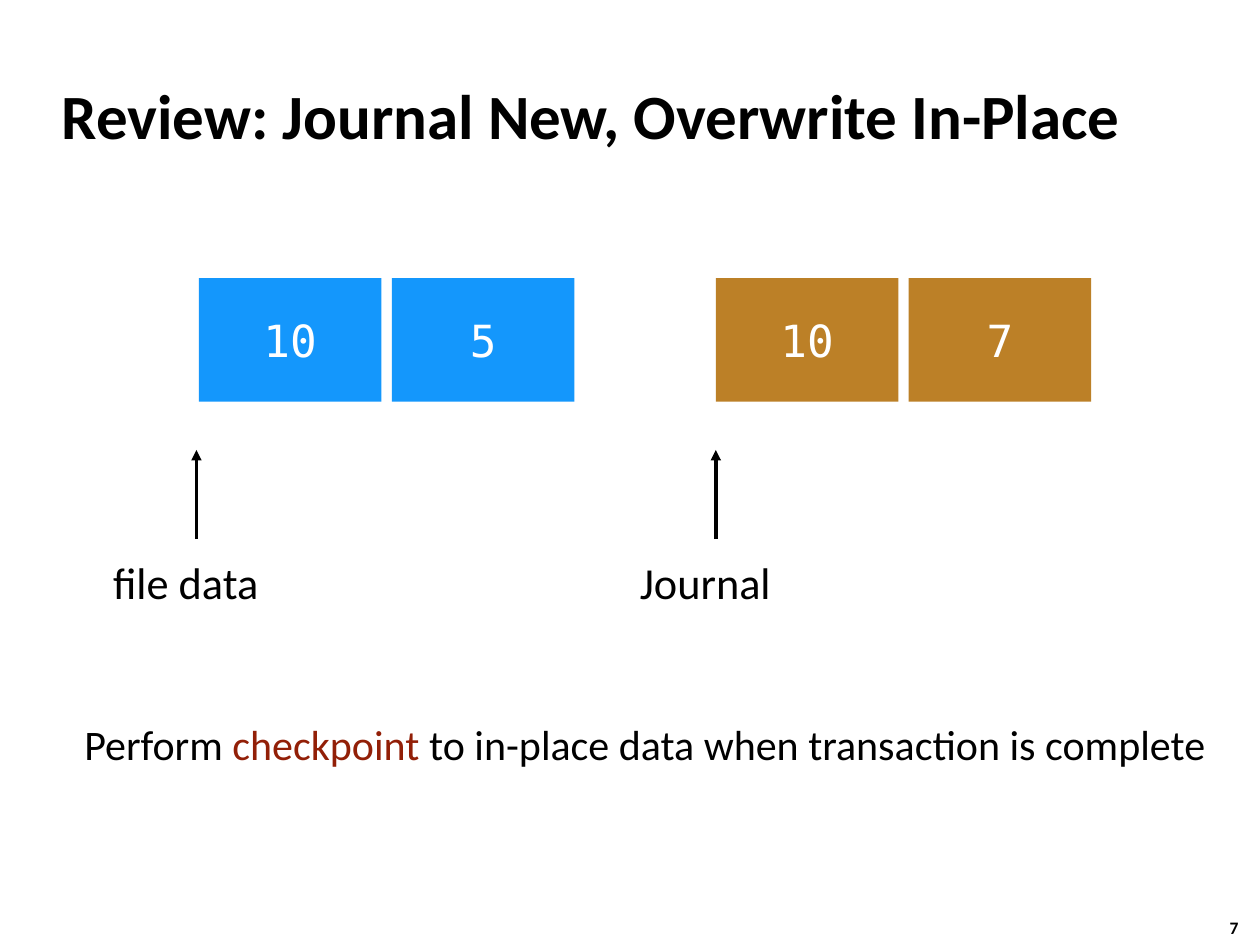
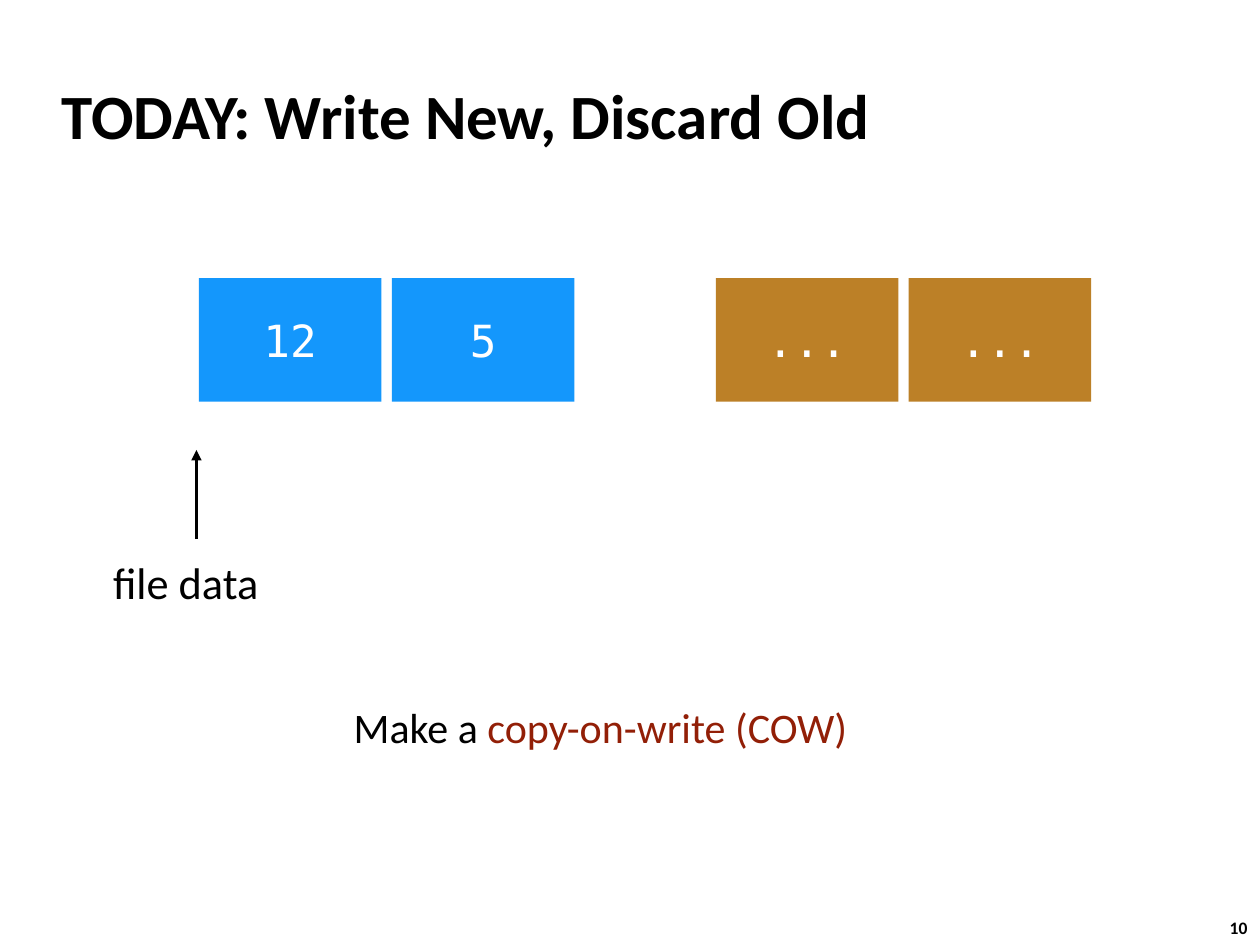
from dataclasses import dataclass

from lxml import etree
from pptx import Presentation
from pptx import util as u
from pptx.dml.color import RGBColor
from pptx.enum import shapes, text
from pptx.oxml.ns import qn
from pptx.slide import Slide
from pptx.text.text import TextFrame

BLACK = RGBColor(0x00, 0x00, 0x00)
WHITE = RGBColor(0xFF, 0xFF, 0xFF)
FILE_BLUE = RGBColor(0x14, 0x97, 0xFC)
JOURNAL_BROWN = RGBColor(0xBC, 0x80, 0x27)
TERM_RED = RGBColor(0x92, 0x1F, 0x07)
BODY_FONT = "Calibri"
CODE_FONT = "DejaVu Sans Mono"
DIAGRAM_SIZE = 25.3

BLOCK_TOP, BLOCK_WIDTH, BLOCK_HEIGHT = u.Cm(5.61), u.Cm(3.68), u.Cm(2.49)
BLOCK_PITCH = u.Cm(3.89)
ARROW_TAIL, ARROW_TIP = u.Cm(10.87), u.Cm(9.07)
LABEL_TOP, LINE_HEIGHT = u.Cm(11.1), u.Cm(1.27)


@dataclass(frozen=True)
class Box:
    left: int
    top: int
    width: int
    height: int


@dataclass(frozen=True)
class Region:
    left: int
    color: RGBColor


@dataclass(frozen=True)
class Pointer:
    caption: str
    arrow_x: int
    left: int
    width: int


@dataclass(frozen=True)
class Page:
    number: int
    title: str
    title_width: int
    file_values: tuple[str, ...]
    journal_values: tuple[str, ...]
    pointers: tuple[Pointer, ...]
    note: tuple[tuple[str, RGBColor], ...]
    note_box: Box


FILE_REGION = Region(u.Cm(4.01), FILE_BLUE)
JOURNAL_REGION = Region(u.Cm(14.43), JOURNAL_BROWN)
FILE_POINTER = Pointer("file data", u.Cm(3.96), u.Cm(2.18), u.Cm(3.15))
JOURNAL_POINTER = Pointer("Journal", JOURNAL_REGION.left, u.Cm(12.8), u.Cm(2.87))
NUMBER_BOX = Box(u.Cm(24.54), u.Cm(18.36), u.Cm(0.94), u.Cm(0.69))

PAGES = (
    Page(
        7, "Review: Journal New, Overwrite In-Place", u.Cm(23.32),
        ("10", "5"), ("10", "7"), (FILE_POINTER, JOURNAL_POINTER),
        (
            ("Perform ", BLACK),
            ("checkpoint", TERM_RED),
            (" to in-place data when transaction is complete", BLACK),
        ),
        Box(u.Cm(1.45), u.Cm(14.35), u.Cm(23.32), LINE_HEIGHT),
    ),
    Page(
        10, "TODAY: Write New, Discard Old", u.Cm(21.08),
        ("12", "5"), ("...", "..."), (FILE_POINTER,),
        (("Make a ", BLACK), ("copy-on-write (COW)", TERM_RED)),
        Box(u.Cm(6.88), u.Cm(14.02), u.Cm(10.57), LINE_HEIGHT),
    ),
)


def write(
    frame: TextFrame,
    *runs: tuple[str, RGBColor],
    size: float,
    font: str = BODY_FONT,
    bold: bool = False,
    align: text.PP_ALIGN = text.PP_ALIGN.LEFT,
    anchor: text.MSO_ANCHOR = text.MSO_ANCHOR.MIDDLE,
    inset: int | None = None,
    wrap: bool = True,
    grow: bool = False,
) -> None:
    frame.word_wrap = wrap
    frame.vertical_anchor = anchor
    frame.auto_size = (
        text.MSO_AUTO_SIZE.SHAPE_TO_FIT_TEXT if grow else text.MSO_AUTO_SIZE.NONE
    )
    if inset is not None:
        frame.margin_left = frame.margin_right = inset
        frame.margin_top = frame.margin_bottom = inset
    paragraph = frame.paragraphs[0]
    paragraph.alignment = align
    for words, color in runs:
        run = paragraph.add_run()
        run.text = words
        run.font.size = u.Pt(size)
        run.font.name = font
        run.font.bold = bold
        run.font.color.rgb = color


def add_line_of_text(
    slide: Slide, box: Box, *runs: tuple[str, RGBColor], **style
) -> None:
    holder = slide.shapes.add_textbox(box.left, box.top, box.width, box.height)
    write(holder.text_frame, *runs, wrap=False, grow=True, **style)


def add_title(slide: Slide, title: str, width: int) -> None:
    heading = slide.shapes.title
    heading.left, heading.top = u.Cm(0.99), u.Cm(1.24)
    heading.width, heading.height = width, u.Cm(2.11)
    write(heading.text_frame, (title, BLACK), size=36, bold=True)


def add_blocks(slide: Slide, region: Region, values: tuple[str, ...]) -> None:
    for index, value in enumerate(values):
        block = slide.shapes.add_shape(
            shapes.MSO_SHAPE.RECTANGLE,
            region.left + index * BLOCK_PITCH, BLOCK_TOP, BLOCK_WIDTH, BLOCK_HEIGHT,
        )
        block.shadow.inherit = False
        block.fill.solid()
        block.fill.fore_color.rgb = region.color
        block.line.fill.background()
        write(
            block.text_frame, (value, WHITE), size=DIAGRAM_SIZE, font=CODE_FONT,
            align=text.PP_ALIGN.CENTER, inset=0,
        )


def add_pointer(slide: Slide, pointer: Pointer) -> None:
    caption_box = Box(pointer.left, LABEL_TOP, pointer.width, LINE_HEIGHT)
    add_line_of_text(
        slide, caption_box, (pointer.caption, BLACK),
        size=DIAGRAM_SIZE, inset=u.Cm(0.1),
    )
    arrow = slide.shapes.add_connector(
        shapes.MSO_CONNECTOR.STRAIGHT,
        pointer.arrow_x, ARROW_TAIL, pointer.arrow_x, ARROW_TIP,
    )
    arrow.line.color.rgb = BLACK
    arrow.line.width = u.Pt(2)
    etree.SubElement(arrow.line._get_or_add_ln(), qn("a:tailEnd"), type="triangle")
    etree.SubElement(arrow._element.spPr, qn("a:effectLst"))


def add_page(deck, page: Page) -> None:
    slide = deck.slides.add_slide(deck.slide_layouts[5])
    add_line_of_text(
        slide, NUMBER_BOX, (str(page.number), BLACK),
        size=10, bold=True, anchor=text.MSO_ANCHOR.TOP,
    )
    add_title(slide, page.title, page.title_width)
    add_blocks(slide, FILE_REGION, page.file_values)
    add_blocks(slide, JOURNAL_REGION, page.journal_values)
    for pointer in page.pointers:
        add_pointer(slide, pointer)
    add_line_of_text(
        slide, page.note_box, *page.note, size=24, anchor=text.MSO_ANCHOR.TOP
    )


def main() -> None:
    deck = Presentation()
    deck.slide_width, deck.slide_height = u.Cm(25.4), u.Cm(19.05)
    for page in PAGES:
        add_page(deck, page)
    deck.save("out.pptx")


if __name__ == "__main__":
    main()
